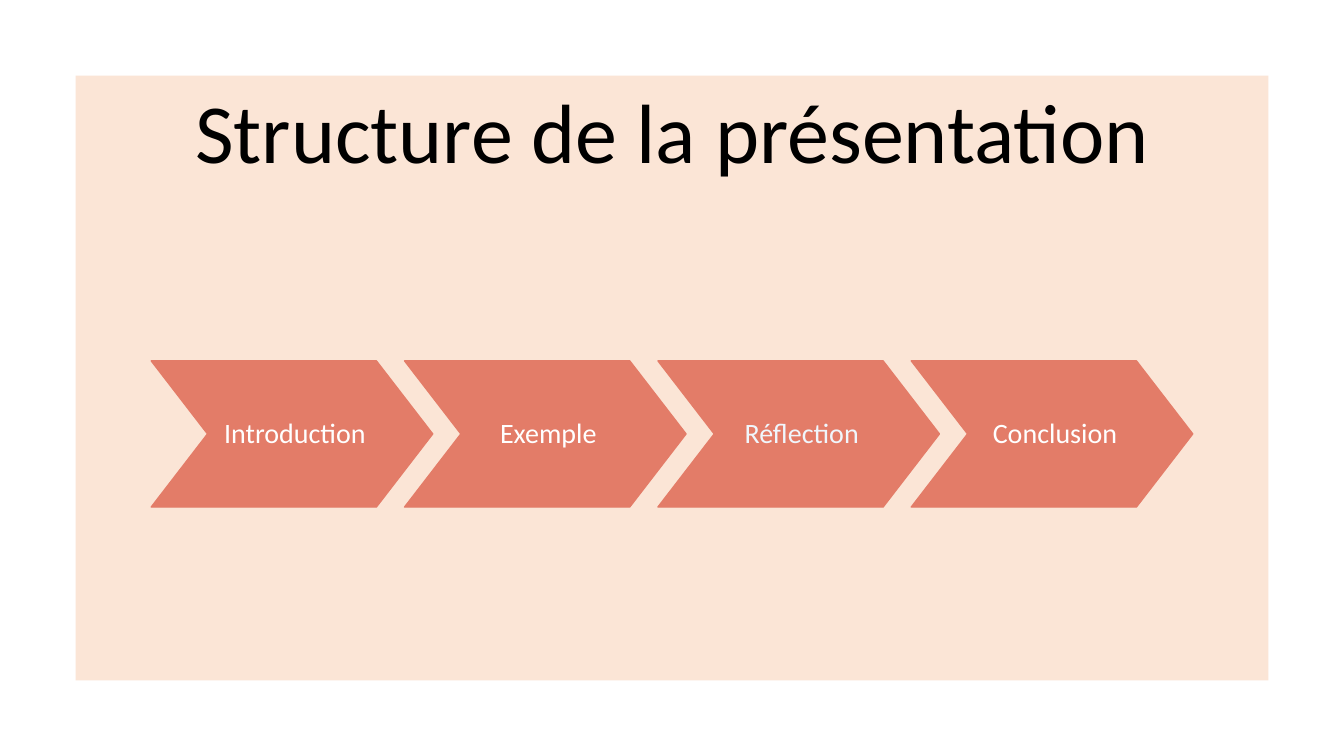
from pptx import Presentation
from pptx.dml.color import RGBColor
from pptx.enum.shapes import MSO_SHAPE
from pptx.enum.text import MSO_ANCHOR, PP_ALIGN
from pptx.util import Inches, Pt

CORAL, PEACH, WHITE = "E37C68", "FBE5D6", "FFFFFF"
STEPS = [("Introduction", WHITE), ("Exemple", WHITE),
         ("Réflection", "F0F6FC"), ("Conclusion", WHITE)]


def color(value):
    return RGBColor.from_string(value)


def write(shape, text, size, ink, **frame_format):
    frame = shape.text_frame
    for name, value in dict(word_wrap=True, **frame_format).items():
        setattr(frame, name, value)
    para = frame.paragraphs[0]
    for name, value in {"alignment": PP_ALIGN.CENTER, "line_spacing": 0.9}.items():
        setattr(para, name, value)
    span = para.add_run()
    span.text = text
    for name, value in {"name": "Calibri", "size": Pt(size)}.items():
        setattr(span.font, name, value)
    span.font.color.rgb = color(ink)


def add_filled(page, kind, left, top, width, height, fill):
    shape = page.shapes.add_shape(
        kind, Inches(left), Inches(top), Inches(width), Inches(height))
    shape.shadow.inherit = False
    shape.fill.solid()
    shape.fill.fore_color.rgb = color(fill)
    shape.line.fill.background()
    return shape


def add_panel(page, left, top, width, height):
    add_filled(page, MSO_SHAPE.RECTANGLE, left, top, width, height, PEACH)


def add_steps(page, left, top, width, height):
    # Each chevron overlaps the next by a tenth of its width
    step_width = width / (len(STEPS) - 0.1 * (len(STEPS) - 1))
    point = 0.2 * step_width
    for index, (label, ink) in enumerate(STEPS):
        step = add_filled(page, MSO_SHAPE.CHEVRON, left + 0.9 * step_width * index,
                          top, step_width, height, CORAL)
        step.adjustments[0] = point / height
        step.line.color.rgb = color(CORAL)
        step.line.width = Pt(1)
        write(step, label, 20, ink, vertical_anchor=MSO_ANCHOR.MIDDLE,
              margin_left=Inches(0.06), margin_right=0,
              margin_top=Inches(0.03), margin_bottom=Inches(0.03))


def add_title(page, left, top, width, height):
    title = page.shapes.add_textbox(
        Inches(left), Inches(top), Inches(width), Inches(height))
    write(title, "Structure de la présentation", 60, "000000",
          vertical_anchor=MSO_ANCHOR.BOTTOM)


def main():
    deck = Presentation()
    deck.slide_width, deck.slide_height = Inches(13.33), Inches(7.5)
    page = deck.slides.add_slide(deck.slide_layouts[6])
    # Background panel, process chevrons, heading
    add_panel(page, 0.75, 0.75, 11.83, 6)
    add_steps(page, 1.5, 3.58, 10.33, 1.45)
    add_title(page, 0.92, 0.4, 11.5, 1.45)
    deck.save("out.pptx")


if __name__ == "__main__":
    main()
